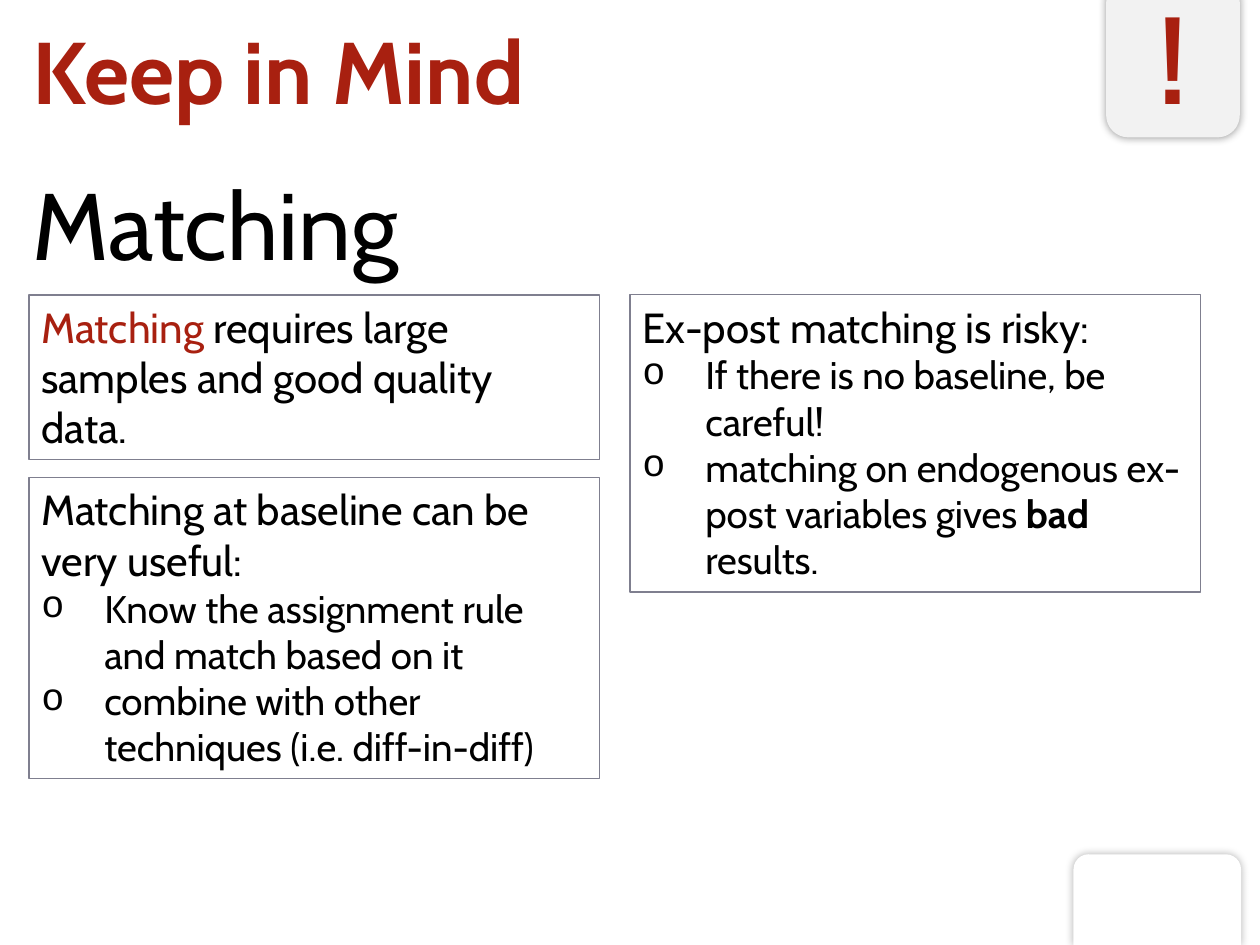
from dataclasses import dataclass

from lxml.etree import SubElement
from pptx import Presentation
from pptx.dml.color import RGBColor
from pptx.enum.shapes import MSO_SHAPE as Shape
from pptx.enum.text import MSO_ANCHOR as Anchor, MSO_AUTO_SIZE as AutoSize, PP_ALIGN as Align
from pptx.oxml.ns import qn
from pptx.util import Inches, Pt

COLORS = {"red": "A82010", "black": "000000", "white": "FFFFFF",
          "border": "7F7F8F", "badge": "F2F2F2"}
FONT = "Cabin"


@dataclass
class Span:
    text: str
    color: str = "black"
    bold: bool = False


@dataclass
class Card:
    left: float
    top: float
    height: float
    lead: list[Span]
    bullets: list[list[Span]]


def rgb(name: str) -> RGBColor:
    return RGBColor.from_string(COLORS[name])


def add_runs(p, spans: list[Span], size: int) -> None:
    for span in spans:
        r = p.add_run()
        r.text = span.text
        r.font.name = FONT
        r.font.size = Pt(size)
        r.font.bold = span.bold
        r.font.color.rgb = rgb(span.color)


def add_bullet(p) -> None:
    pPr = p._p.get_or_add_pPr()
    pPr.set("marL", str(Inches(0.5)))
    pPr.set("indent", str(-Inches(0.5)))
    SubElement(pPr, qn("a:buFont"), typeface="Courier New")
    SubElement(pPr, qn("a:buChar"), char="o")


def add_glow_shape(slide, kind, box: tuple, fill: str, opacity: int):
    sp = slide.shapes.add_shape(kind, *map(Inches, box))
    sp.fill.solid()
    sp.fill.fore_color.rgb = rgb(fill)
    sp.line.fill.background()
    sp.shadow.inherit = False
    effects = sp._element.spPr.find(qn("a:effectLst"))
    shadow = SubElement(effects, qn("a:outerShdw"), blurRad=str(Pt(5)), dist="0",
                        dir="0", algn="ctr", rotWithShape="0")
    color = SubElement(shadow, qn("a:srgbClr"), val=COLORS["black"])
    SubElement(color, qn("a:alpha"), val=str(opacity * 1000))
    return sp


def add_card(slide, card: Card) -> None:
    box = (card.left, card.top, 4.53, card.height)
    sp = slide.shapes.add_shape(Shape.RECTANGLE, *map(Inches, box))
    sp.fill.background()
    sp.line.color.rgb = rgb("border")
    sp.line.width = Pt(0.75)
    sp.shadow.inherit = False
    tf = sp.text_frame
    tf.word_wrap = True
    tf.auto_size = AutoSize.SHAPE_TO_FIT_TEXT
    tf.vertical_anchor = Anchor.TOP
    p = tf.paragraphs[0]
    p.alignment = Align.LEFT
    add_runs(p, card.lead, 24)
    for spans in card.bullets:
        p = tf.add_paragraph()
        p.alignment = Align.LEFT
        add_bullet(p)
        add_runs(p, spans, 22)


def main() -> None:
    prs = Presentation()
    prs.slide_width, prs.slide_height = Inches(10), Inches(7.5)
    slide = prs.slides.add_slide(prs.slide_layouts[5])

    title = slide.shapes.title
    title.left, title.top = Inches(0.16), Inches(0.08)
    title.width, title.height = Inches(8.36), Inches(0.94)
    tf = title.text_frame
    tf.vertical_anchor = Anchor.MIDDLE
    tf.paragraphs[0].alignment = Align.LEFT
    add_runs(tf.paragraphs[0], [Span("Keep in Mind", "red", True)], 50)

    add_glow_shape(slide, Shape.ROUND_2_SAME_RECTANGLE, (8.52, 6.78, 1.33, 0.72), "white", 30)

    subtitle = slide.shapes.add_textbox(*map(Inches, (0.16, 1.26, 3.35, 1.01)))
    tf = subtitle.text_frame
    tf.word_wrap = False
    tf.auto_size = AutoSize.SHAPE_TO_FIT_TEXT
    tf.vertical_anchor = Anchor.MIDDLE
    add_runs(tf.paragraphs[0], [Span("Matching")], 54)

    cards = [
        Card(0.23, 2.34, 1.31,
             [Span("Matching", "red"), Span(" requires large samples and good quality data.")], []),
        Card(0.23, 3.79, 2.39,
             [Span("Matching at baseline can be very useful:")],
             [[Span("Know the assignment rule and match based on it")],
              [Span("combine with other techniques (i.e. diff-in-diff)")]]),
        Card(5, 2.34, 2.36,
             [Span("Ex-post matching is risky:")],
             [[Span("If there is no baseline, be careful!")],
              [Span("matching on endogenous ex-post variables gives "),
               Span("bad", bold=True), Span(" results.")]]),
    ]
    for card in cards:
        add_card(slide, card)

    badge = add_glow_shape(slide, Shape.ROUNDED_RECTANGLE, (8.78, -0.16, 1.06, 1.25), "badge", 40)
    tf = badge.text_frame
    tf.vertical_anchor = Anchor.MIDDLE
    tf.paragraphs[0].alignment = Align.CENTER
    add_runs(tf.paragraphs[0], [Span("!", "red", True)], 66)

    prs.save("out.pptx")


if __name__ == "__main__":
    main()
